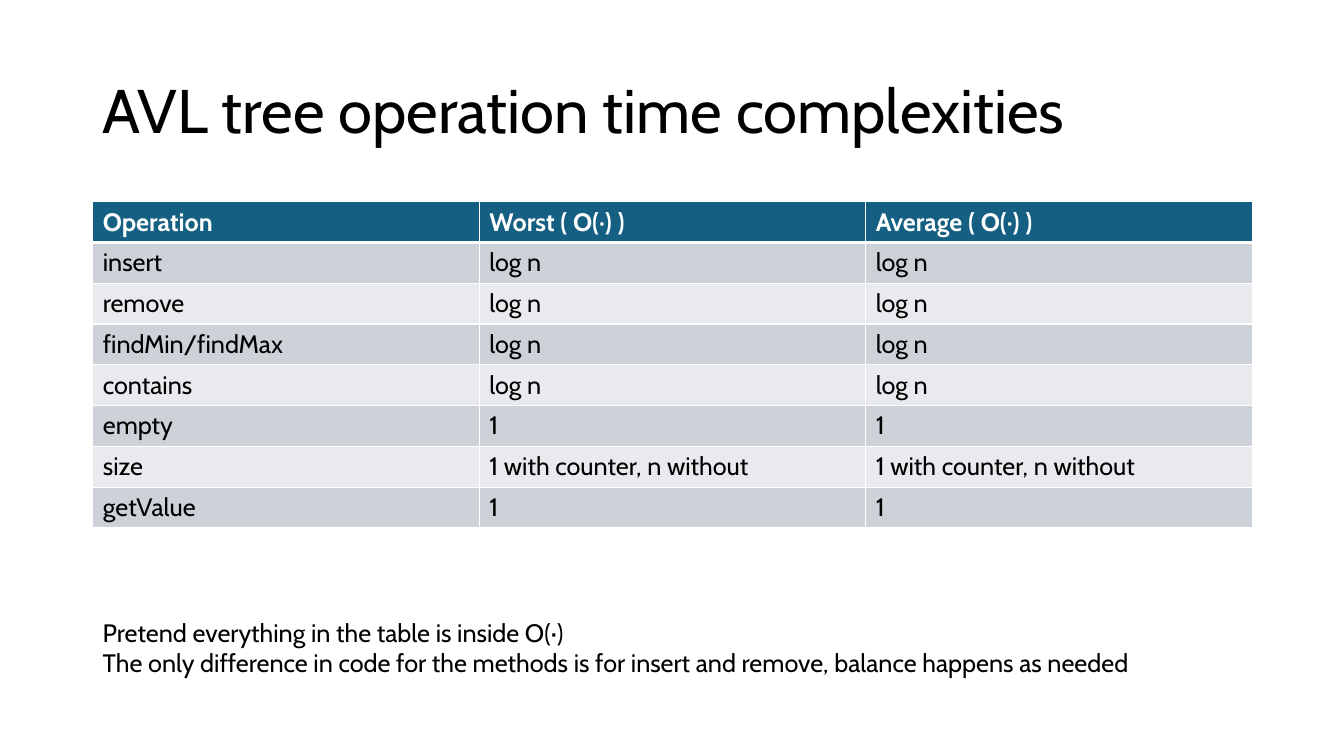
import pptx
import pptx.dml.color
import pptx.enum.text
import pptx.oxml
import pptx.oxml.ns
import pptx.util
from pptx.util import Inches

COLORS = {
    "text": "000000",
    "header_text": "FFFFFF",
    "header": "156082",
    "odd_row": "CCD2D8",
    "even_row": "E8EAED",
    "border": "FFFFFF",
}
LEFT, WIDTH = 0.92, 11.5


def add_run(paragraph, text, size=18, color="text", bold=False):
    run = paragraph.add_run()
    run.text = text
    run.font.name = "Cabin"
    run.font.size = pptx.util.Pt(size)
    run.font.bold = bold
    run.font.color.rgb = pptx.dml.color.RGBColor.from_string(COLORS[color])


def add_borders(cell, bottom_width):
    """Draw all four cell borders; call before setting the cell's fill."""
    properties = cell._tc.get_or_add_tcPr()
    for side, width in (("L", 1), ("R", 1), ("T", 1), ("B", bottom_width)):
        properties.append(pptx.oxml.parse_xml(
            f'<a:ln{side} {pptx.oxml.ns.nsdecls("a")} w="{pptx.util.Pt(width)}">'
            f'<a:solidFill><a:srgbClr val="{COLORS["border"]}"/></a:solidFill>'
            f'</a:ln{side}>'))


presentation = pptx.Presentation()
presentation.slide_width = Inches(13.33)
presentation.slide_height = Inches(7.5)
slide = presentation.slides.add_slide(presentation.slide_layouts[6])

# Title
title = slide.shapes.add_textbox(
    Inches(LEFT), Inches(0.4), Inches(WIDTH), Inches(1.45)).text_frame
title.word_wrap = True
title.vertical_anchor = pptx.enum.text.MSO_ANCHOR.MIDDLE
title.paragraphs[0].line_spacing = 0.9
add_run(title.paragraphs[0], "AVL tree operation time complexities", size=44)

# Complexity table
complexities = [
    ("Operation", "Worst ( O(·) )", "Average ( O(·) )"),
    ("insert", "log n", "log n"),
    ("remove", "log n", "log n"),
    ("findMin/findMax", "log n", "log n"),
    ("contains", "log n", "log n"),
    ("empty", "1", "1"),
    ("size", "1 with counter, n without", "1 with counter, n without"),
    ("getValue", "1", "1"),
]
table = slide.shapes.add_table(
    len(complexities), 3,
    Inches(LEFT), Inches(2), Inches(WIDTH), Inches(3.24)).table

for row, entries in enumerate(complexities):
    is_header = row == 0
    fill = "header" if is_header else "odd_row" if row % 2 else "even_row"
    for column, entry in enumerate(entries):
        cell = table.cell(row, column)
        add_borders(cell, bottom_width=3 if is_header else 1)
        cell.fill.solid()
        cell.fill.fore_color.rgb = pptx.dml.color.RGBColor.from_string(COLORS[fill])
        add_run(cell.text_frame.paragraphs[0], entry,
                color="header_text" if is_header else "text", bold=is_header)

# Remarks below the table
remarks = slide.shapes.add_textbox(
    Inches(LEFT), Inches(6.07), Inches(10.63), Inches(0.71)).text_frame
remarks.word_wrap = False
remarks.auto_size = pptx.enum.text.MSO_AUTO_SIZE.SHAPE_TO_FIT_TEXT
add_run(remarks.paragraphs[0], "Pretend everything in the table is inside O(·)")
add_run(remarks.add_paragraph(),
        "The only difference in code for the methods is for insert and remove, "
        "balance happens as needed")

presentation.save("out.pptx")
